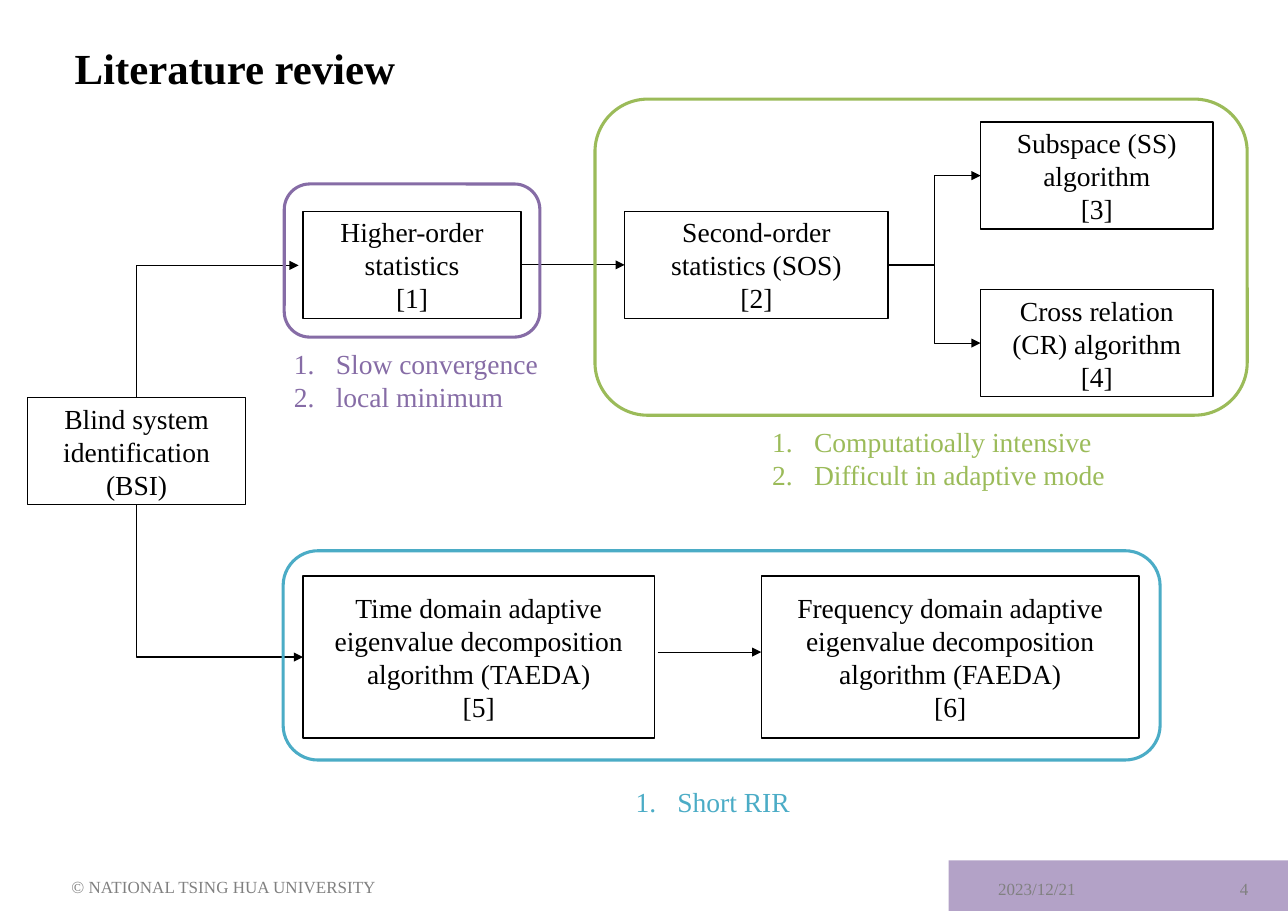
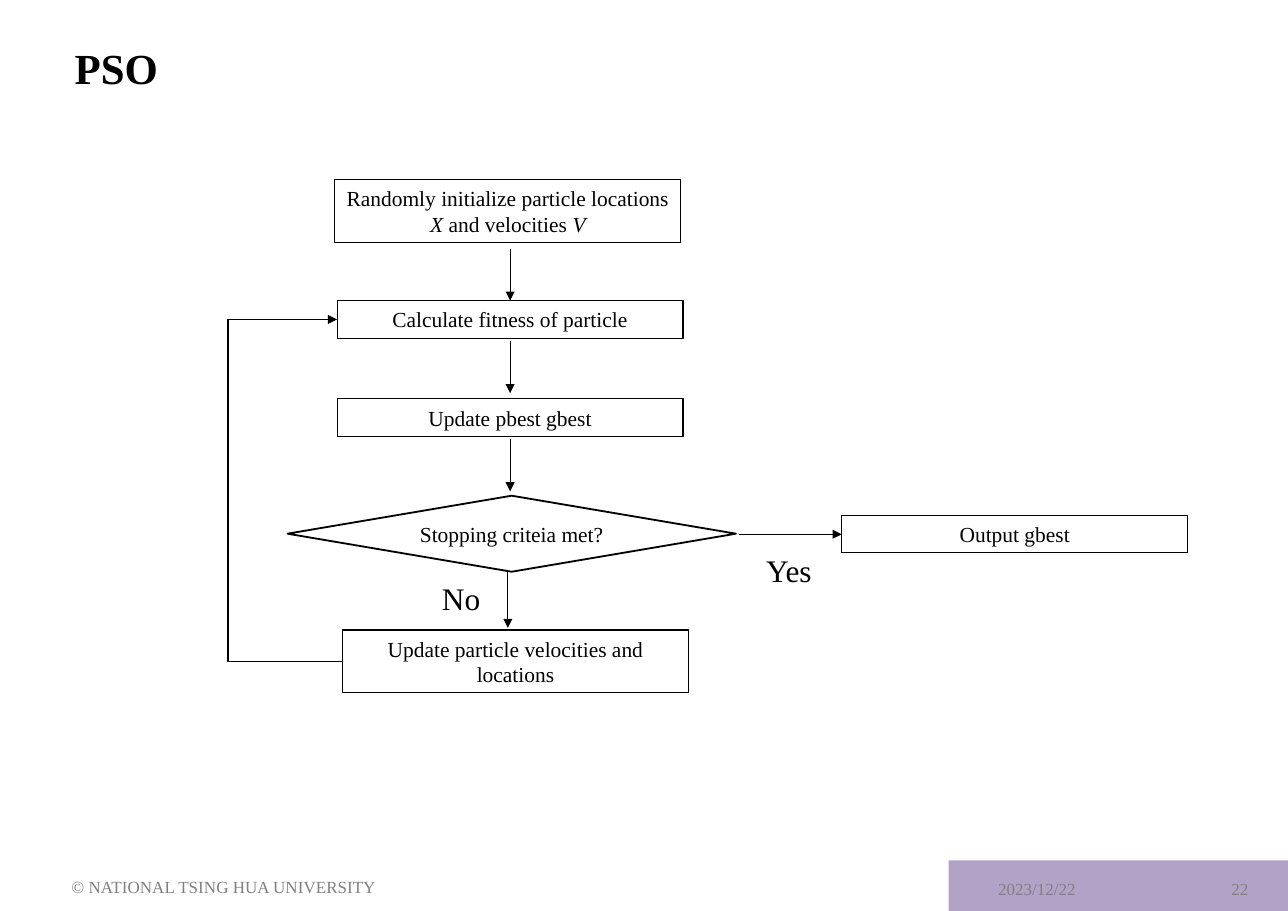
from lxml import etree
from pptx import Presentation
from pptx.dml.color import RGBColor
from pptx.enum.shapes import MSO_CONNECTOR, MSO_SHAPE
from pptx.enum.text import MSO_ANCHOR, PP_ALIGN
from pptx.oxml.ns import qn
from pptx.util import Emu, Pt

RECT, ROUND, DIAMOND = MSO_SHAPE.RECTANGLE, MSO_SHAPE.ROUNDED_RECTANGLE, MSO_SHAPE.DIAMOND
LINE, ELBOW = MSO_CONNECTOR.STRAIGHT, MSO_CONNECTOR.ELBOW
LEFT, MID, RIGHT = PP_ALIGN.LEFT, PP_ALIGN.CENTER, PP_ALIGN.RIGHT
TOP, CENTER = MSO_ANCHOR.TOP, MSO_ANCHOR.MIDDLE
UP, WEST, DOWN, EAST = range(4)

SCALE = 9144
BLACK, GRAY, BAND = "000000", "808080", "B3A2C7"
PURPLE, GREEN, BLUE = "866CA6", "9BBB59", "4BACC6"
FONT = "Times New Roman"
BODY = {"size": Pt(18), "name": FONT}
SMALL = {**BODY, "size": Pt(14)}
LABEL = {**BODY, "size": Pt(20.5)}
FOOT = {**BODY, "size": Pt(11.1)}
TITLE = {**BODY, "size": Pt(28), "bold": True}


def px(*values):
    return [Emu(round(value * SCALE)) for value in values]


def color(code):
    return RGBColor.from_string(code)


def write(frame, lines, style, tone=BLACK, align=LEFT, anchor=TOP):
    frame.vertical_anchor = anchor
    for index, line in enumerate(lines):
        para = frame.paragraphs[0] if index == 0 else frame.add_paragraph()
        para.alignment = align
        for part in [line] if isinstance(line, str) else line:
            text, extra = (part, {}) if isinstance(part, str) else part
            run = para.add_run()
            run.text = text
            for key, value in {**style, **extra}.items():
                setattr(run.font, key, value)
            run.font.color.rgb = color(tone)


def label(slide, area, lines, style, wrap=True, **format):
    frame = slide.shapes.add_textbox(*px(*area)).text_frame
    frame.word_wrap = wrap
    write(frame, lines, style, **format)
    return frame


def shape(slide, kind, area, line=None, width=1, fill=None):
    item = slide.shapes.add_shape(kind, *px(*area))
    item.shadow.inherit = False
    if fill:
        item.fill.solid()
        item.fill.fore_color.rgb = color(fill)
    else:
        item.fill.background()
    if line:
        item.line.color.rgb = color(line)
        item.line.width = Pt(width)
    else:
        item.line.fill.background()
    return item


def box(slide, area, lines, style=BODY, width=1, kind=RECT):
    item = shape(slide, kind, area, BLACK, width)
    item.text_frame.word_wrap = True
    write(item.text_frame, lines, style, align=MID, anchor=CENTER)
    return item


def notes(slide, area, lines, tone):
    frame = label(slide, area, lines, BODY, tone=tone)
    for para in frame.paragraphs:
        props = para._p.get_or_add_pPr()
        indent = px(38)[0]
        props.set("marL", str(indent))
        props.set("indent", str(-indent))
        etree.SubElement(props, qn("a:buAutoNum"), type="arabicPeriod")


def arrow(slide, start, end, kind=LINE):
    ends = [(0, 0) if hasattr(point[0], "shape_id") else point for point in (start, end)]
    item = slide.shapes.add_connector(kind, *px(*ends[0], *ends[1]))
    for point, join, names in (
        (start, item.begin_connect, ("begin_x", "begin_y")),
        (end, item.end_connect, ("end_x", "end_y")),
    ):
        if hasattr(point[0], "shape_id"):
            join(*point)
        else:
            for name, value in zip(names, px(*point)):
                setattr(item, name, value)
    item.line.color.rgb = color(BLACK)
    item.line.width = Pt(0.75)
    props = item._element.spPr
    etree.SubElement(props.find(qn("a:ln")), qn("a:tailEnd"), type="triangle")
    etree.SubElement(props, qn("a:effectLst"))
    return item


def loop(slide, start, end, turn):
    item = arrow(slide, start, end, ELBOW)
    ratio = (px(turn)[0] - item.begin_x) / (item.end_x - item.begin_x)
    guides = item._element.spPr.find(qn("a:prstGeom")).get_or_add_avLst()
    etree.SubElement(guides, qn("a:gd"), name="adj1", fmla=f"val {round(ratio * 100000)}")


def corner(slide, start, end):
    item = arrow(slide, start, end, ELBOW)
    rise = item.end_y < item.begin_y
    wide, high = item.width, item.height
    item.left += (wide - high) // 2
    item.top += (high - wide) // 2
    item.width, item.height = high, wide
    props = item._element.spPr
    props.find(qn("a:prstGeom")).set("prst", "bentConnector2")
    for key, value in {"rot": "5400000", "flipH": str(int(rise)), "flipV": "1"}.items():
        props.find(qn("a:xfrm")).set(key, value)


def page(deck, title, date, number):
    slide = deck.slides.add_slide(deck.slide_layouts[6])
    shape(slide, RECT, (861, 781, 308, 46), fill=BAND)
    frame = label(slide, (58, 24, 779, 69), [title], TITLE, anchor=CENTER)
    frame.paragraphs[0].line_spacing = Pt(36.9)
    for area, text, align in (
        ((896, 787, 138, 39), date, LEFT),
        ((55, 785, 319, 39), "© NATIONAL TSING HUA UNIVERSITY", LEFT),
        ((1052, 787, 91, 39), number, RIGHT),
    ):
        label(slide, area, [text], FOOT, tone=GRAY, align=align, anchor=CENTER)
    return slide


def review(deck):
    slide = page(deck, "Literature review", "2023/12/21", "4")
    blind = box(slide, (25, 361, 198, 97), ["Blind system identification (BSI)"])
    higher = box(slide, (275, 192, 198, 97), ["Higher-order statistics", "[1]"])
    second = box(slide, (567, 192, 239, 97), ["Second-order statistics (SOS)", "[2]"])
    arrow(slide, (higher, EAST), (second, WEST))
    for top, text, cite in (
        (111, "Subspace (SS) algorithm", "[3]"),
        (263, "Cross relation (CR) algorithm", "[4]"),
    ):
        method = box(slide, (890, top, 211, 97), [text, cite])
        arrow(slide, (second, EAST), (method, WEST), ELBOW)
    time, _ = [
        box(slide, (left, 523, width, 147),
            [f"{domain} domain adaptive eigenvalue decomposition", f"algorithm ({short})", cite])
        for left, width, domain, short, cite in (
            (275, 319, "Time", "TAEDA", "[5]"),
            (691, 343, "Frequency", "FAEDA", "[6]"),
        )
    ]
    arrow(slide, (597, 592), (691, 592))
    corner(slide, (blind, UP), (271, 241))
    corner(slide, (blind, DOWN), (time, WEST))
    for frame, area, tone, lines in (
        ((258, 167, 232, 139), (257, 310, 356, 71), PURPLE,
         ["Slow convergence", "local minimum"]),
        ((540, 90, 592, 287), (691, 381, 411, 71), GREEN,
         ["Computatioally intensive", "Difficult in adaptive mode"]),
        ((257, 500, 796, 190), (567, 708, 186, 40), BLUE, ["Short RIR"]),
    ):
        shape(slide, ROUND, frame, tone, 2)
        notes(slide, area, lines, tone)


def swarm(deck):
    slide = page(deck, "PSO", "2023/12/22", "22")
    slant = {"italic": True}
    start = ["Randomly initialize particle locations ", ("X", slant), " and velocities ", ("V", slant)]
    _, fitness, _, output, update = [
        box(slide, (left, top, 314, high), [line], SMALL, 0.75)
        for left, top, high, line in (
            (304, 163, 57, start),
            (306, 273, 34, "Calculate fitness of particle"),
            (306, 362, 34, "Update pbest gbest"),
            (764, 468, 34, "Output gbest"),
            (311, 572, 57, "Update particle velocities and locations"),
        )
    ]
    box(slide, (261, 450, 407, 69), ["Stopping criteia met?"], SMALL, 1.2, DIAMOND)
    for area, text in (((685, 495, 62, 45), "Yes"), ((391, 521, 55, 45), "No")):
        label(slide, area, [text], LABEL, wrap=False, align=MID)
    for begin, end in (
        ((463, 226), (fitness, UP)),
        ((463, 310), (463, 357)),
        ((463, 399), (463, 446)),
        ((461, 518), (461, 570)),
        ((671, 485), (output, WEST)),
    ):
        arrow(slide, begin, end)
    loop(slide, (update, WEST), (fitness, WEST), 207)


def main():
    deck = Presentation()
    deck.slide_width, deck.slide_height = px(1169, 827)
    review(deck)
    swarm(deck)
    deck.save("out.pptx")


if __name__ == "__main__":
    main()
